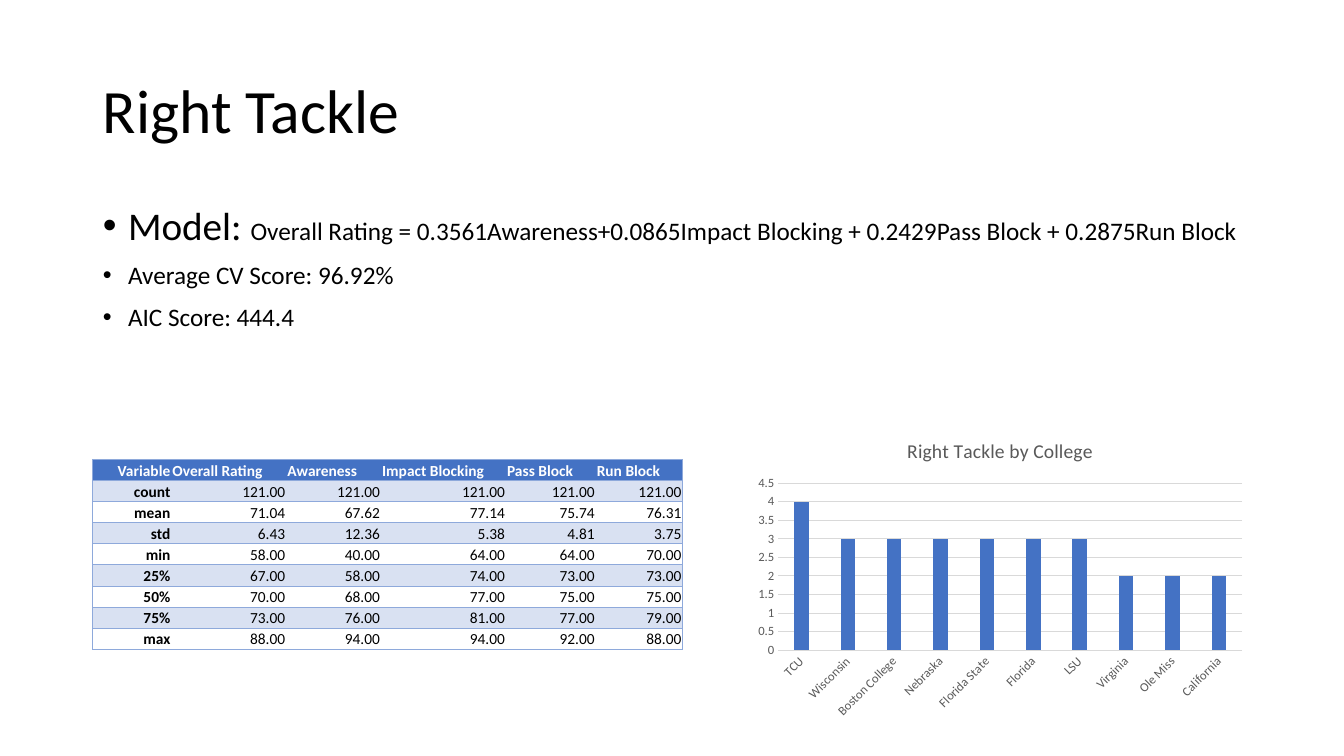
from dataclasses import dataclass

from lxml.etree import SubElement
from pptx import Presentation
from pptx.chart.data import CategoryChartData
from pptx.dml.color import RGBColor
from pptx.enum.chart import XL_CHART_TYPE, XL_TICK_MARK
from pptx.enum.text import MSO_ANCHOR, MSO_AUTO_SIZE, PP_ALIGN
from pptx.oxml.ns import qn
from pptx.util import Inches, Pt


@dataclass(frozen=True)
class Theme:
    """Colours, font and type sizes of the slide."""
    font: str = "Calibri"
    ink: str = "000000"
    white: str = "FFFFFF"
    muted: str = "595959"
    accent: str = "4472C4"
    band: str = "D9E1F2"
    rule: str = "8EA9DB"
    grid: str = "D9D9D9"
    title: int = 44
    lead: int = 28
    body: int = 18
    chart_title: int = 14
    cell: int = 11
    axis: int = 9


THEME = Theme()

MODEL = [
    [("Model: ", THEME.lead),
     ("Overall Rating = 0.3561Awareness+0.0865Impact Blocking"
      " + 0.2429Pass Block + 0.2875Run Block", THEME.body)],
    [("Average CV Score: 96.92%", THEME.body)],
    [("AIC Score: 444.4", THEME.body)],
]

VARIABLES = ["Variable", "Overall Rating", "Awareness", "Impact Blocking",
             "Pass Block", "Run Block"]
COLUMN_WIDTHS = [0.78, 1.14, 0.94, 1.24, 0.89, 0.86]
STATISTICS = {
    "count": [121, 121, 121, 121, 121],
    "mean": [71.04, 67.62, 77.14, 75.74, 76.31],
    "std": [6.43, 12.36, 5.38, 4.81, 3.75],
    "min": [58, 40, 64, 64, 70],
    "25%": [67, 58, 74, 73, 73],
    "50%": [70, 68, 77, 75, 75],
    "75%": [73, 76, 81, 77, 79],
    "max": [88, 94, 94, 92, 88],
}

COLLEGES = {"TCU": 4, "Wisconsin": 3, "Boston College": 3, "Nebraska": 3,
            "Florida State": 3, "Florida": 3, "LSU": 3, "Virginia": 2,
            "Ole Miss": 2, "California": 2}


def style_font(font, size, color, bold=False):
    """Apply the theme font with a size, colour and weight."""
    font.name, font.size, font.bold = THEME.font, Pt(size), bold
    font.color.rgb = RGBColor.from_string(color)


def place(shape, box):
    """Move a shape to a box of left, top, width and height in inches."""
    shape.left, shape.top, shape.width, shape.height = map(Inches, box)


def add_title(slide, box):
    """Fill the title placeholder."""
    title = slide.shapes.title
    place(title, box)
    frame = title.text_frame
    frame.text = "Right Tackle"
    frame.vertical_anchor = MSO_ANCHOR.MIDDLE
    frame.auto_size = MSO_AUTO_SIZE.NONE
    heading = frame.paragraphs[0]
    heading.alignment, heading.line_spacing = PP_ALIGN.LEFT, 0.9
    style_font(heading.runs[0].font, THEME.title, THEME.ink)


def add_model_summary(slide, box):
    """Fill the body placeholder with the model and its scores."""
    summary = slide.placeholders[1]
    place(summary, box)
    frame = summary.text_frame
    frame.auto_size = MSO_AUTO_SIZE.NONE
    for index, parts in enumerate(MODEL):
        point = frame.add_paragraph() if index else frame.paragraphs[0]
        point.line_spacing, point.space_before = 0.9, Pt(10)
        properties = point._p.get_or_add_pPr()
        properties.set("marL", str(Inches(0.25)))
        properties.set("indent", str(Inches(-0.25)))
        SubElement(properties, qn("a:buFont")).set("typeface", "Arial")
        SubElement(properties, qn("a:buChar")).set("char", "•")
        for text, size in parts:
            run = point.add_run()
            run.text = text
            style_font(run.font, size, THEME.ink)


def set_borders(cell, sides):
    """Rule the named sides of a cell and clear the others."""
    properties = cell._tc.get_or_add_tcPr()
    for side in "LRTB":
        line = SubElement(properties, qn(f"a:ln{side}"))
        line.set("w", str(Pt(0.5)))
        if side in sides:
            fill = SubElement(line, qn("a:solidFill"))
            SubElement(fill, qn("a:srgbClr")).set("val", THEME.rule)
        else:
            SubElement(line, qn("a:noFill"))


def format_cell(cell, row, column):
    """Format a cell by its place: header, banded row or label column."""
    header, label = row == 0, column == 0
    cell.margin_left = cell.margin_right = cell.margin_top = Inches(0.01)
    cell.margin_bottom = 0
    cell.vertical_anchor = MSO_ANCHOR.BOTTOM
    edges = {0: "L", len(VARIABLES) - 1: "R"}
    set_borders(cell, "TB" + edges.get(column, ""))
    if row and row % 2 == 0:
        cell.fill.background()
    else:
        cell.fill.solid()
        cell.fill.fore_color.rgb = RGBColor.from_string(
            THEME.accent if header else THEME.band)
    paragraph = cell.text_frame.paragraphs[0]
    paragraph.alignment = PP_ALIGN.LEFT if header and not label else PP_ALIGN.RIGHT
    style_font(paragraph.runs[0].font, THEME.cell,
               THEME.white if header else THEME.ink, header or label)


def add_statistics(slide, box):
    """Add the table of summary statistics."""
    rows = [VARIABLES] + [[name] + [f"{value:.2f}" for value in values]
                          for name, values in STATISTICS.items()]
    table = slide.shapes.add_table(len(rows), len(VARIABLES),
                                   *map(Inches, box)).table
    table.first_row = table.horz_banding = False
    for column, width in zip(table.columns, COLUMN_WIDTHS):
        column.width = Inches(width)
    for r, texts in enumerate(rows):
        table.rows[r].height = Inches(box[3] / len(rows))
        for c, text in enumerate(texts):
            cell = table.cell(r, c)
            cell.text_frame.text = text
            format_cell(cell, r, c)


def format_line(line, color):
    """Give a chart line its colour and the common width."""
    line.color.rgb = RGBColor.from_string(color)
    line.width = Pt(0.75)


def add_college_chart(slide, box):
    """Add the column chart of players by college."""
    data = CategoryChartData()
    data.categories = list(COLLEGES)
    data.add_series("Series 1", list(COLLEGES.values()))
    chart = slide.shapes.add_chart(XL_CHART_TYPE.COLUMN_CLUSTERED,
                                   *map(Inches, box), data).chart
    style_font(chart.font, 10, THEME.ink)
    chart.has_legend = False
    chart.has_title = True
    heading = chart.chart_title.text_frame
    heading.text = "Right Tackle by College"
    style_font(heading.paragraphs[0].runs[0].font, THEME.chart_title, THEME.muted)

    plot = chart.plots[0]
    plot.gap_width, plot.overlap, plot.vary_by_categories = 219, -27, False
    columns = plot.series[0].format.fill
    columns.solid()
    columns.fore_color.rgb = RGBColor.from_string(THEME.accent)

    colleges, players = chart.category_axis, chart.value_axis
    for axis in (colleges, players):
        axis.major_tick_mark = axis.minor_tick_mark = XL_TICK_MARK.NONE
        style_font(axis.tick_labels.font, THEME.axis, THEME.muted)
    format_line(colleges.format.line, THEME.grid)
    colleges._element.find(qn("c:txPr")).find(qn("a:bodyPr")).set("rot", "-2700000")
    players.minimum_scale, players.maximum_scale, players.major_unit = 0, 4.5, 0.5
    players.format.line.fill.background()
    format_line(players.major_gridlines.format.line, THEME.grid)


def build_position_slide(deck):
    """Lay out the slide for one playing position."""
    slide = deck.slides.add_slide(deck.slide_layouts[1])
    add_title(slide, (0.92, 0.4, 11.5, 1.45))
    add_model_summary(slide, (0.92, 2, 11.5, 4.76))
    add_college_chart(slide, (7.42, 4.19, 5, 3))
    add_statistics(slide, (0.92, 4.56, 5.85, 1.88))


deck = Presentation()
deck.slide_width, deck.slide_height = Inches(13.33), Inches(7.5)
build_position_slide(deck)
deck.save("out.pptx")
